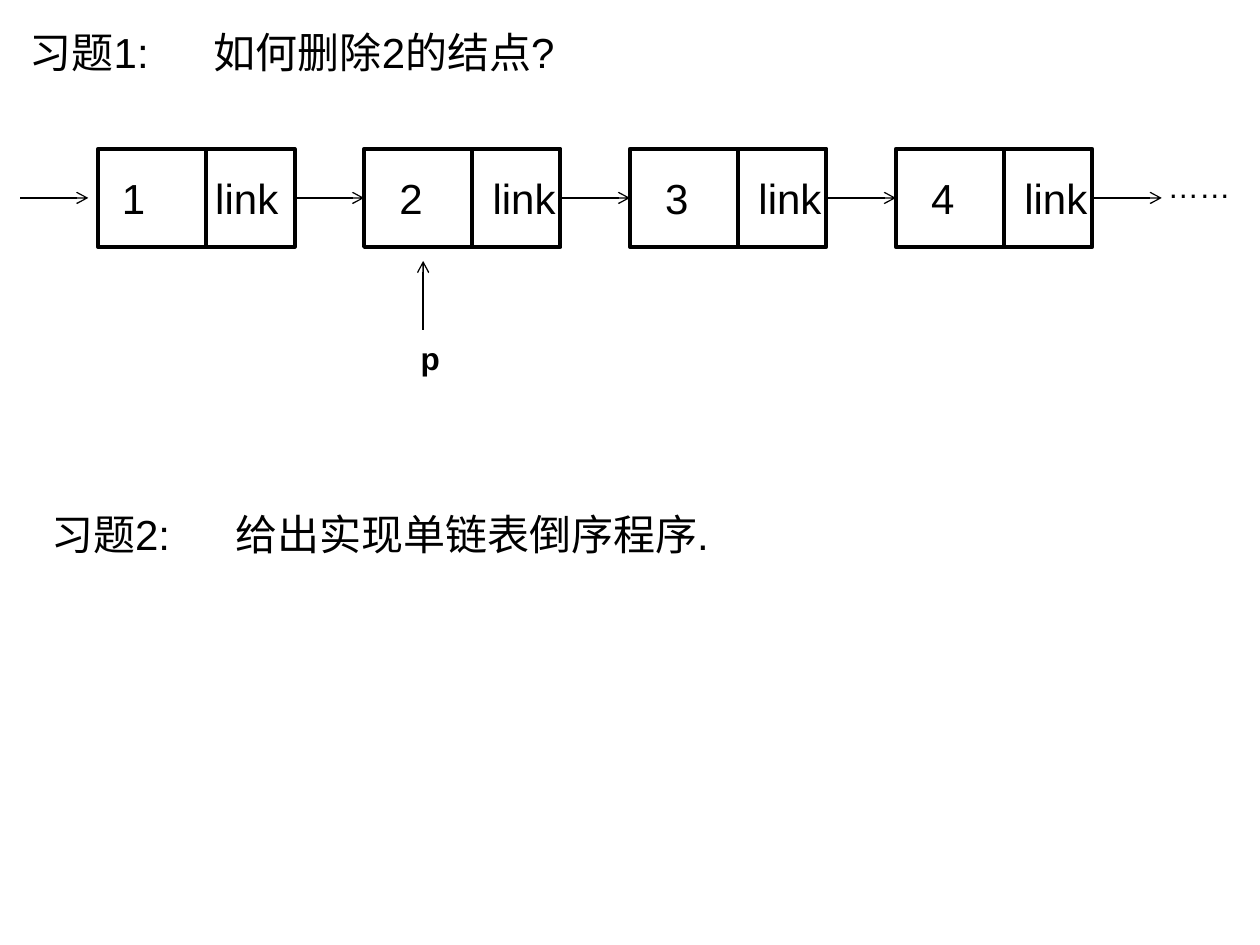
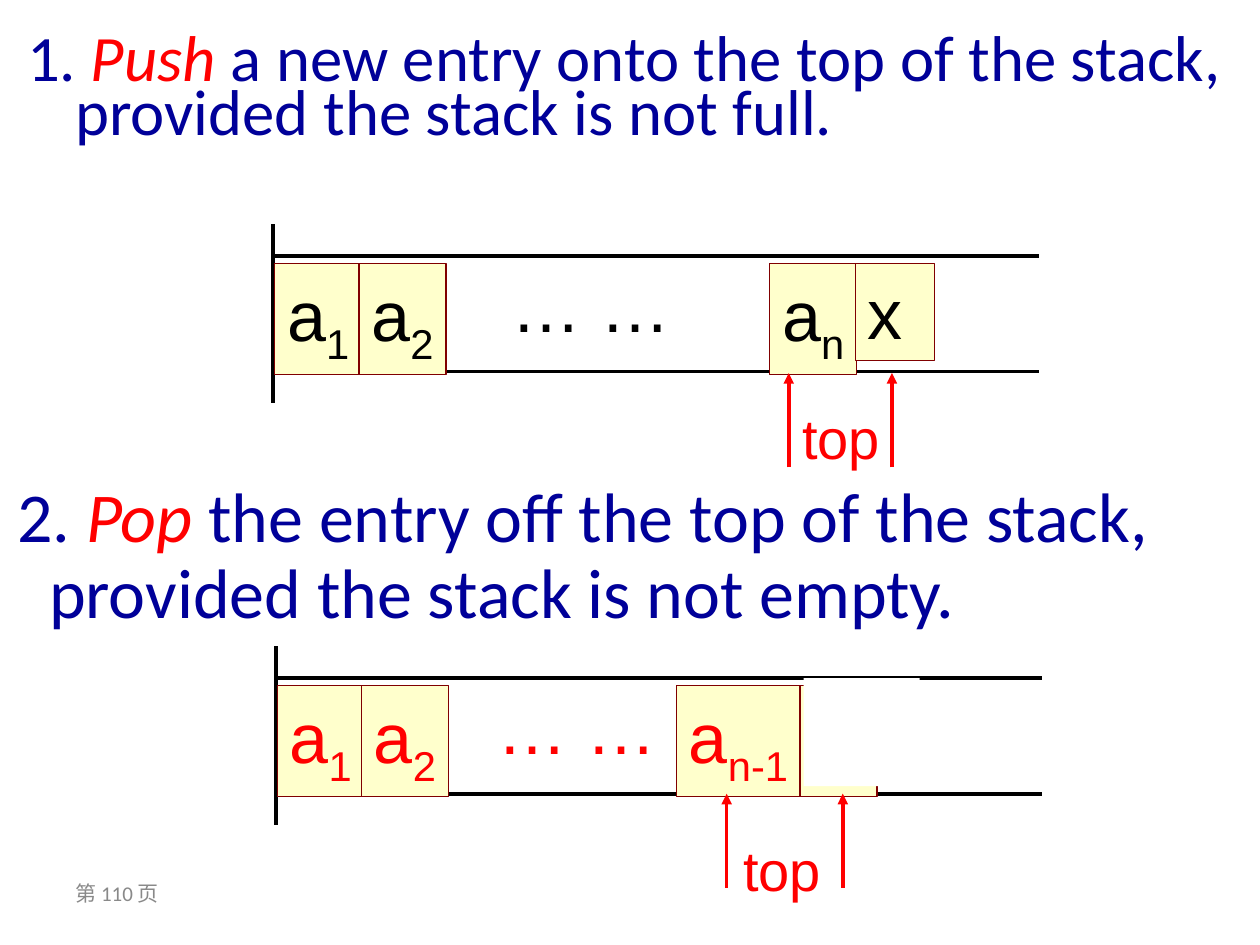
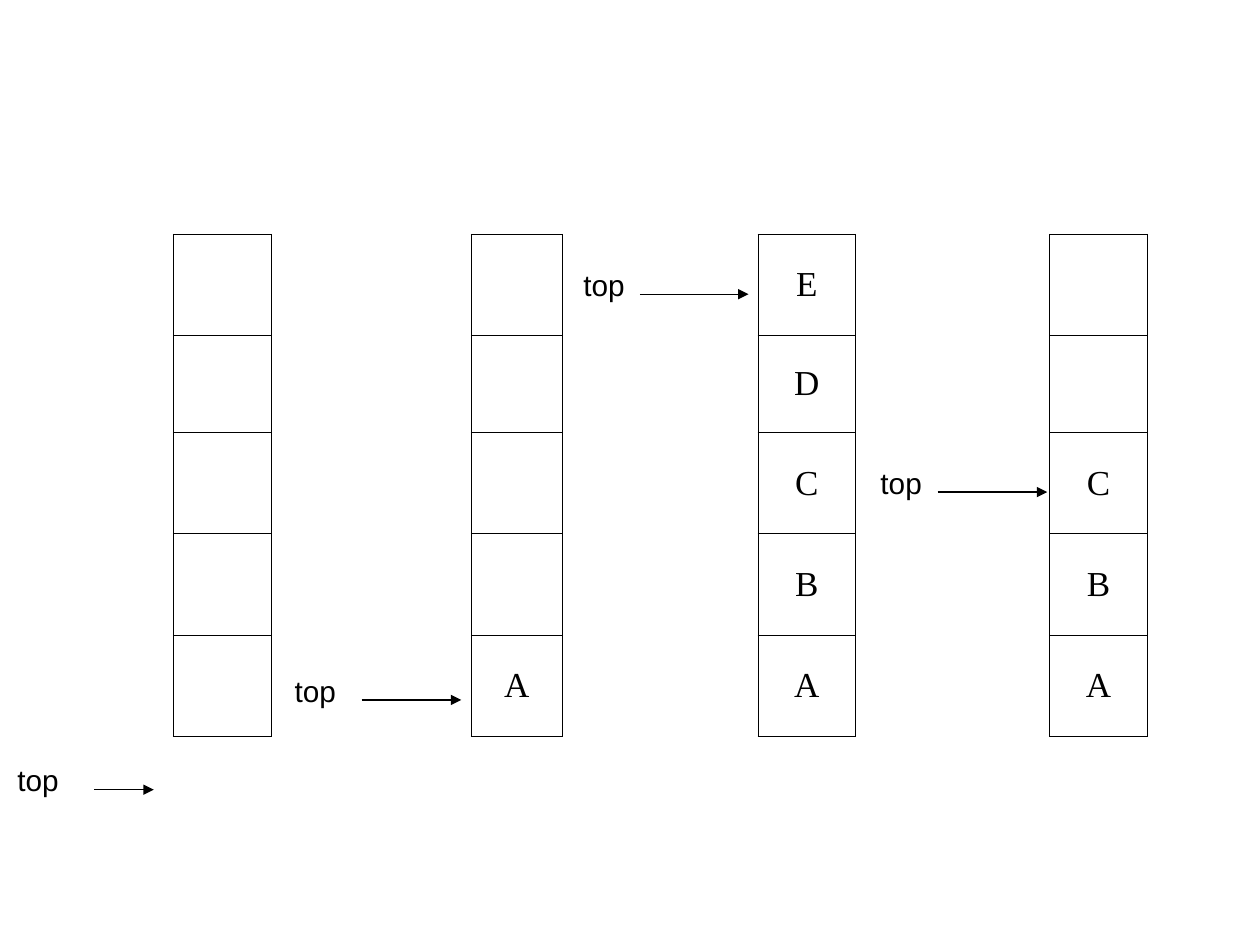
import lxml.etree
import pptx
import pptx.dml.color
import pptx.enum.shapes
import pptx.enum.text
import pptx.oxml.ns
import pptx.util

Cm = pptx.util.Cm
Pt = pptx.util.Pt
RGBColor = pptx.dml.color.RGBColor
qn = pptx.oxml.ns.qn
Anchor = pptx.enum.text.MSO_ANCHOR
Align = pptx.enum.text.PP_ALIGN

BLACK = RGBColor(0x00, 0x00, 0x00)
WHITE = RGBColor(0xFF, 0xFF, 0xFF)
RED = RGBColor(0xFF, 0x00, 0x00)
NAVY = RGBColor(0x00, 0x00, 0x99)
MAROON = RGBColor(0x80, 0x00, 0x00)
CREAM = RGBColor(0xFF, 0xFF, 0xCC)
GREY = RGBColor(0x89, 0x89, 0x89)

SANS = "Arial"
BODY = "Calibri"
SERIF = "Times New Roman"
THICK = 2.25
THIN = 0.75


class SlidePainter:
    """Draws on the newest slide; all positions and lengths are in centimetres."""

    def __init__(self, deck):
        self.deck = deck
        self.slide = None

    def new_slide(self):
        self.slide = self.deck.slides.add_slide(self.deck.slide_layouts[6])

    def format_span(self, span, size, color=BLACK, font=SANS, bold=False, italic=False):
        span.font.size = Pt(size)
        span.font.name = font
        span.font.bold = bold
        span.font.italic = italic
        span.font.color.rgb = color

    def text(self, left, top, width, height, words, size, wrap=True, anchor=Anchor.TOP,
             **style):
        box = self.slide.shapes.add_textbox(Cm(left), Cm(top), Cm(width), Cm(height))
        box.text_frame.word_wrap = wrap
        box.text_frame.vertical_anchor = anchor
        para = box.text_frame.paragraphs[0]
        para.text = words
        self.format_span(para.runs[0], size, **style)
        return box

    def tab_stop(self, para, position):
        tabs = lxml.etree.SubElement(para._p.get_or_add_pPr(), qn("a:tabLst"))
        lxml.etree.SubElement(tabs, qn("a:tab"), pos=str(Cm(position)), algn="l")

    def exercise(self, left, top, width, words):
        box = self.text(left, top, width, 1.27, words, 24)
        self.tab_stop(box.text_frame.paragraphs[0], 3.71)

    def operation(self, left, top, width, height, number, verb, rest, size, indent, spacing):
        """Numbered sentence with a hanging indent and its verb picked out in red."""
        box = self.text(left, top, width, height, number, size, color=NAVY, font=BODY)
        para = box.text_frame.paragraphs[0]
        para.line_spacing = spacing
        properties = para._p.get_or_add_pPr()
        properties.set("marL", str(Cm(indent)))
        properties.set("indent", str(-Cm(indent)))
        for words, color, italic in ((verb, RED, True), (rest, NAVY, False)):
            span = para.add_run()
            span.text = words
            self.format_span(span, size, color, BODY, italic=italic)

    def rectangle(self, left, top, width, height, fill=None, line=None, weight=THIN):
        box = self.slide.shapes.add_shape(pptx.enum.shapes.MSO_SHAPE.RECTANGLE,
                                          Cm(left), Cm(top), Cm(width), Cm(height))
        box.shadow.inherit = False
        if fill is None:
            box.fill.background()
        else:
            box.fill.solid()
            box.fill.fore_color.rgb = fill
        if line is None:
            box.line.fill.background()
        else:
            box.line.color.rgb = line
            box.line.width = Pt(weight)
        return box

    def line(self, x1, y1, x2, y2, weight=THIN, color=BLACK, head=None):
        connector = self.slide.shapes.add_connector(pptx.enum.shapes.MSO_CONNECTOR.STRAIGHT,
                                                    Cm(x1), Cm(y1), Cm(x2), Cm(y2))
        connector.line.color.rgb = color
        connector.line.width = Pt(weight)
        if head:
            lxml.etree.SubElement(connector.line._get_or_add_ln(), qn("a:tailEnd"), type=head)
        lxml.etree.SubElement(connector._element.spPr, qn("a:effectLst"))

    def list_node(self, left, top, value, inset):
        """Linked-list node: a value, a divider and the word link."""
        box = self.rectangle(left, top, 3.96, 1.98, line=BLACK, weight=THICK)
        frame = box.text_frame
        frame.margin_left, frame.margin_right = Cm(inset), 0
        frame.vertical_anchor = Anchor.MIDDLE
        para = frame.paragraphs[0]
        para.text = f"{value}\tlink"
        para.alignment = Align.LEFT
        self.tab_stop(para, 1.88)
        self.format_span(para.runs[0], 24)
        self.line(left + 2.18, top, left + 2.18, top + 1.98, THICK)

    def entry(self, left, top, letter, subscript="", width=1.75, height=2.24, color=BLACK):
        """Filled stack entry, such as a with a subscript."""
        box = self.rectangle(left, top, width, height, CREAM, MAROON)
        frame = box.text_frame
        frame.word_wrap = False
        frame.vertical_anchor = Anchor.TOP
        para = frame.paragraphs[0]
        para.alignment = Align.LEFT
        for words, size, baseline in ((letter, 40, 0), (subscript, 41, -25000)):
            if words:
                span = para.add_run()
                span.text = words
                self.format_span(span, size, color)
                span.font._element.set("baseline", str(baseline))

    def stack(self, left, top, color, dots, last, last_width, subscript, floor):
        """Sideways stack: wall, two rails, the first entries, dots and the last entry."""
        self.line(left, top, left, top + 3.61, THICK)
        for offset, weight in ((0.64, THICK), (2.97, floor)):
            self.line(left, top + offset, left + 15.44, top + offset, weight)
        for offset, index in ((0.03, "1"), (1.73, "2")):
            self.entry(left + offset, top + 0.79, "a", index, color=color)
        self.entry(left + last, top + 0.79, "a", subscript, last_width, color=color)
        self.text(left + dots, top + 0.64, 3.85, 1.96, "… …", 40, wrap=False, color=color)

    def top_pointers(self, label_left, label_top, arrow_xs, arrow_end):
        self.text(label_left, label_top, 2.08, 1.63, "top", 32, wrap=False, color=RED)
        for x in arrow_xs:
            self.line(x, arrow_end + 1.9, x, arrow_end, 2, RED, "triangle")

    def cell_borders(self, cell, drawn):
        properties = cell._tc.get_or_add_tcPr()
        for side in "LRTB":
            border = lxml.etree.SubElement(properties, qn(f"a:ln{side}"), w=str(Pt(0.45)))
            if side in drawn:
                fill = lxml.etree.SubElement(border, qn("a:solidFill"))
                lxml.etree.SubElement(fill, qn("a:srgbClr"), val=str(BLACK))
            else:
                lxml.etree.SubElement(border, qn("a:noFill"))

    def stack_table(self, left, top, widths, heights, stacks):
        """One table whose every third column is a stack; the others are gaps."""
        frame = self.slide.shapes.add_table(len(heights), len(widths), Cm(left), Cm(top),
                                            Cm(sum(widths)), Cm(sum(heights)))
        table = frame.table
        table.first_row = table.horz_banding = False
        for column, width in zip(table.columns, widths):
            column.width = Cm(width)
        for row, height in zip(table.rows, heights):
            row.height = Cm(height)
        for row in range(len(heights)):
            for column in range(len(widths)):
                cell = table.cell(row, column)
                self.cell_borders(cell, ("LRTB", "L", "R")[column % 3])
                cell.fill.background()
                cell.vertical_anchor = Anchor.MIDDLE
                level = len(heights) - 1 - row
                if column % 3 == 0 and level < len(stacks[column // 3]):
                    para = cell.text_frame.paragraphs[0]
                    para.text = stacks[column // 3][level]
                    para.alignment = Align.CENTER
                    self.format_span(para.runs[0], 20, font=SERIF)


def linked_list_slide(painter):
    first, pitch, top, middle = 1.98, 5.36, 3.0, 3.99
    painter.new_slide()
    painter.line(0.41, middle, 1.78, middle, head="arrow")
    for index in range(4):
        left = first + index * pitch
        painter.list_node(left, top, index + 1, 0.48 if index == 0 else 0.71)
        painter.line(left + 3.96, middle, left + pitch, middle, head="arrow")
    painter.line(8.53, 6.65, 8.53, 5.26, head="arrow")
    painter.text(8.23, 6.71, 0.9, 1.02, "p", 18, wrap=False, bold=True)
    painter.text(23.29, 3.25, 1.78, 1.02, "……", 18, wrap=False)
    painter.exercise(0.35, 0.41, 12, "习题1:\t如何删除2的结点?")
    painter.exercise(0.78, 10.13, 14.5, "习题2:\t给出实现单链表倒序程序.")


def push_and_pop_slide(painter):
    painter.new_slide()
    painter.text(1.27, 17.35, 5.92, 1.32, "第 110 页", 12, anchor=Anchor.MIDDLE,
                 color=GREY, font=BODY)

    painter.operation(0.3, 0.64, 24.89, 3.89, "1. ", "Push ",
                      "a new entry onto the top of the stack, provided the stack is not full.",
                      37, 0.97, 0.7)
    left, top = 5.51, 4.52
    painter.stack(left, top, BLACK, 4.55, 10.01, 1.75, "n", 1.5)
    painter.entry(left + 11.73, top + 0.79, "x", width=1.6, height=1.96)
    painter.top_pointers(left + 10.41, top + 3.48, (left + 10.39, left + 12.47), top + 3)

    painter.operation(0.1, 9.6, 25.4, 3.73, "2. ", "Pop ",
                      "the entry off the top of the stack, provided the stack is not empty.",
                      40, 0.64, 0.9)
    left, top = 5.56, 13.03
    painter.stack(left, top, RED, 4.22, 8.08, 2.49, "n-1", THICK)
    painter.entry(left + 10.57, top + 0.79, "", width=1.55)
    painter.rectangle(left + 10.64, top + 0.64, 2.34, 2.18, WHITE)
    painter.top_pointers(left + 9.17, top + 3.68, (left + 9.09, left + 11.43), top + 2.97)


def stack_states_slide(painter):
    painter.new_slide()
    widths = [1.97, 1.97, 2.07, 1.84, 1.97, 1.97, 1.97, 2.07, 1.84, 1.97]
    heights = [2.04, 1.96, 2.04, 2.04, 2.04]
    painter.stack_table(3.49, 4.72, widths, heights, ["", "A", "ABCDE", "ABC"])
    pointers = [(0.1, 15.32, 1.9, 3.1), (5.69, 13.51, 7.29, 9.3),
                (11.51, 5.33, 12.9, 15.09), (17.5, 9.32, 18.9, 21.11)]
    for left, top, start, end in pointers:
        label = painter.text(left, top, 1.6, 1, "top", 17)
        label.text_frame.paragraphs[0].line_spacing = 0.9
        painter.line(start, top + 0.6, end, top + 0.6, head="triangle")


def main():
    deck = pptx.Presentation()
    deck.slide_width, deck.slide_height = Cm(25.4), Cm(19.05)
    painter = SlidePainter(deck)
    linked_list_slide(painter)
    push_and_pop_slide(painter)
    stack_states_slide(painter)
    deck.save("out.pptx")


if __name__ == "__main__":
    main()
